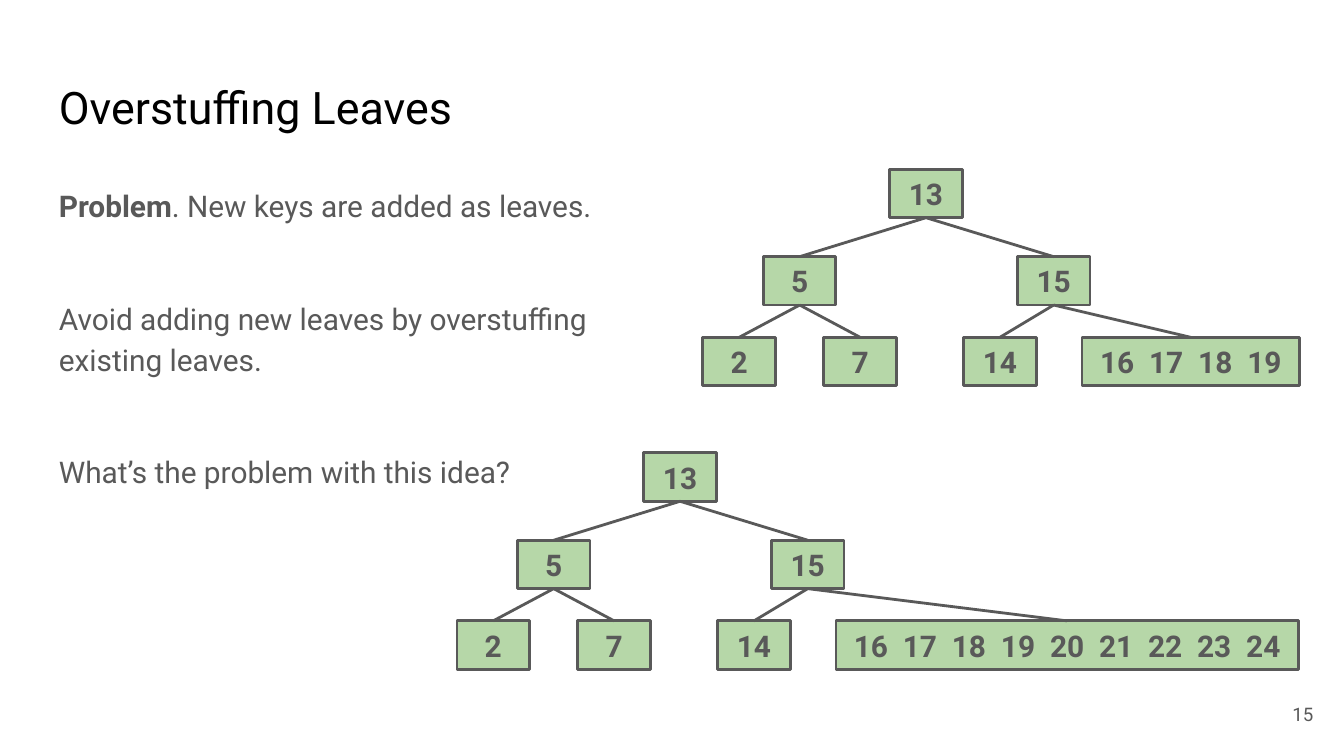
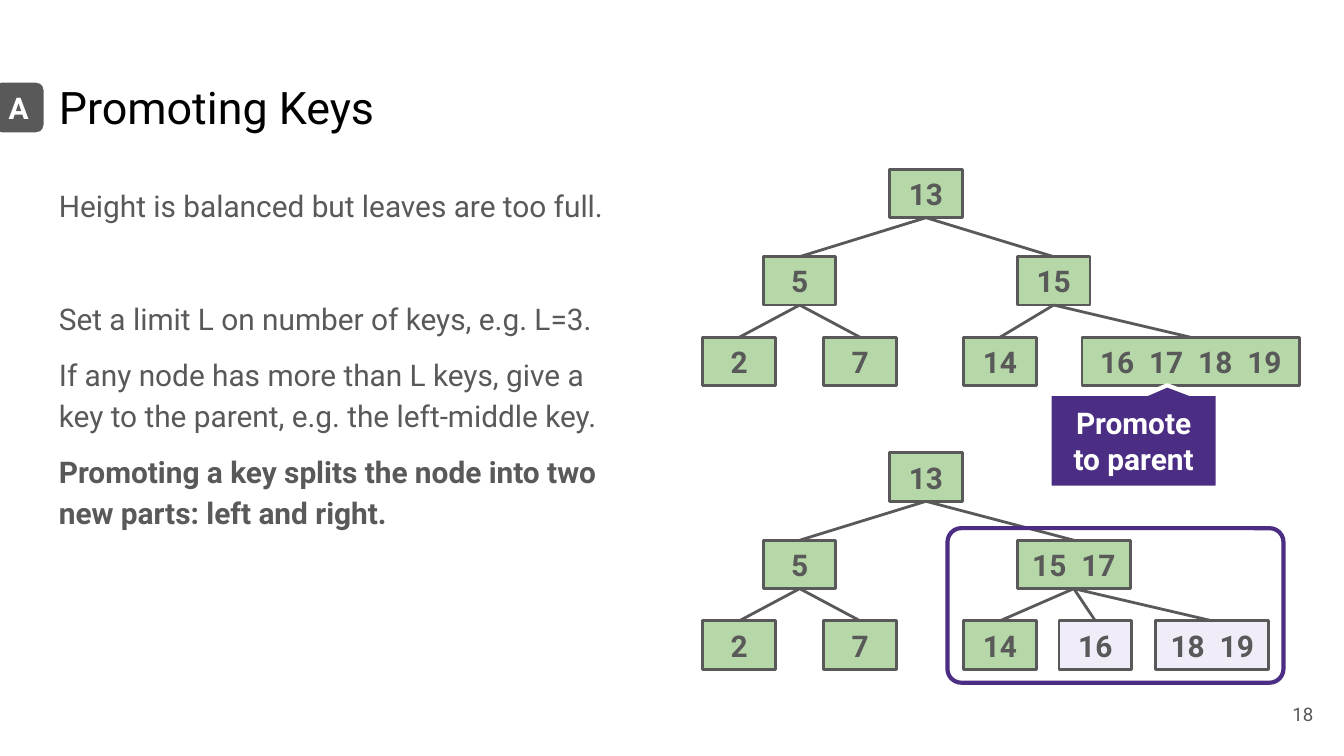
from dataclasses import dataclass
from typing import Any

from lxml import etree
from pptx import Presentation
from pptx.dml.color import RGBColor
from pptx.enum.shapes import MSO_CONNECTOR, MSO_SHAPE
from pptx.enum.text import MSO_ANCHOR, PP_ALIGN
from pptx.oxml.ns import qn
from pptx.util import Inches, Pt

RECT = MSO_SHAPE.RECTANGLE
ROUND = MSO_SHAPE.ROUNDED_RECTANGLE
CALLOUT = MSO_SHAPE.ROUNDED_RECTANGULAR_CALLOUT
STRAIGHT = MSO_CONNECTOR.STRAIGHT
TOP, MIDDLE = MSO_ANCHOR.TOP, MSO_ANCHOR.MIDDLE
LEFT, CENTER, RIGHT = PP_ALIGN.LEFT, PP_ALIGN.CENTER, PP_ALIGN.RIGHT

FONT = "Roboto"
COLORS = {
    "title": "000000",
    "gray": "595959",
    "green": "B6D7A8",
    "pale": "F0ECF8",
    "purple": "4B2E83",
    "white": "FFFFFF",
}
WIDTH = 10
HEIGHT = WIDTH * 9 / 16
BODY, THIN, THICK = 16, 1.5, 2.25
NEAR, FAR = 8, 38  # space before a paragraph, in points
NODE_W, NODE_H = 0.54, 0.36
LEVELS = (0, 0.65, 1.25)  # top of each tree level below the root
KEY_GAP = 4  # points added to the space between two keys


@dataclass(frozen=True)
class Box:
    left: float
    top: float
    width: float
    height: float

    def lengths(self) -> list[Inches]:
        return [Inches(n) for n in (self.left, self.top, self.width, self.height)]


@dataclass(frozen=True)
class Run:
    text: str
    bold: bool = False
    spread: int = 0  # extra letter spacing, in points


@dataclass(frozen=True)
class Para:
    runs: tuple[Run, ...]
    before: int = 0


@dataclass(frozen=True)
class Node:
    """A tree node; left is measured from the left edge of the tree."""
    keys: tuple[int, ...]
    left: float
    kids: tuple["Node", ...] = ()
    width: float = NODE_W
    fill: str = "green"

    @property
    def mid(self) -> float:
        return self.left + self.width / 2

    def label(self) -> Para:
        runs: list[Run] = []
        for key in self.keys:
            if runs:
                runs.append(Run(" ", True, KEY_GAP))
            runs.append(Run(str(key), True))
        return Para(tuple(runs))


@dataclass(frozen=True)
class Tree:
    left: float
    top: float
    root: Node


@dataclass(frozen=True)
class Page:
    title: str
    number: int
    paras: tuple[Para, ...]
    trees: tuple[Tree, ...]


def color(name: str) -> RGBColor:
    return RGBColor.from_string(COLORS[name])


def write(shape: Any, paras: tuple[Para, ...], size: int, ink: str, align: PP_ALIGN,
          anchor: MSO_ANCHOR, wrap: bool = True, lead: float = 1.0) -> None:
    frame = shape.text_frame
    frame.word_wrap = wrap
    frame.vertical_anchor = anchor
    frame.margin_left = frame.margin_right = Inches(0.1)
    frame.margin_top = frame.margin_bottom = Inches(0.1)
    for i, para in enumerate(paras):
        line = frame.add_paragraph() if i else frame.paragraphs[0]
        line.alignment = align
        line.line_spacing = lead
        line.space_before = Pt(para.before)
        for part in para.runs:
            run = line.add_run()
            run.text = part.text
            run.font.name = FONT
            run.font.size = Pt(size)
            run.font.bold = part.bold
            run.font.color.rgb = color(ink)
            if part.spread:
                run._r.get_or_add_rPr().set("spc", str(part.spread * 100))


def plain(text: str, before: int = 0, bold: bool = False) -> Para:
    return Para((Run(text, bold),), before)


def add_text(shapes: Any, box: Box, paras: tuple[Para, ...], size: int, ink: str,
             align: PP_ALIGN = LEFT, anchor: MSO_ANCHOR = TOP, lead: float = 1.0) -> None:
    write(shapes.add_textbox(*box.lengths()), paras, size, ink, align, anchor, lead=lead)


def add_shape(shapes: Any, kind: MSO_SHAPE, box: Box, fill: str | None, edge: str,
              weight: float, adjust: tuple[float, ...] = ()) -> Any:
    shape = shapes.add_shape(kind, *box.lengths())
    shape.shadow.inherit = False
    if fill:
        shape.fill.solid()
        shape.fill.fore_color.rgb = color(fill)
    else:
        shape.fill.background()
    shape.line.color.rgb = color(edge)
    shape.line.width = Pt(weight)
    for i, value in enumerate(adjust):
        shape.adjustments[i] = value
    return shape


def add_label(shape: Any, para: Para, ink: str, wrap: bool = True) -> None:
    write(shape, (para,), BODY, ink, CENTER, MIDDLE, wrap)


def add_edge(shapes: Any, x1: float, y1: float, x2: float, y2: float) -> None:
    edge = shapes.add_connector(STRAIGHT, *(Inches(n) for n in (x1, y1, x2, y2)))
    edge.line.color.rgb = color("gray")
    edge.line.width = Pt(THIN)
    etree.SubElement(edge._element.spPr, qn("a:effectLst"))


def add_node(shapes: Any, tree: Tree, node: Node, level: int = 0) -> None:
    """Draw a node, its edges and everything below it."""
    top = tree.top + LEVELS[level]
    box = Box(tree.left + node.left, top, node.width, NODE_H)
    shape = add_shape(shapes, RECT, box, node.fill, "gray", THIN)
    add_label(shape, node.label(), "gray", False)
    for kid in node.kids:
        add_node(shapes, tree, kid, level + 1)
        add_edge(shapes, tree.left + node.mid, top + NODE_H,
                 tree.left + kid.mid, tree.top + LEVELS[level + 1])


def root_of(right: Node) -> Node:
    """Join the left half, the same in every tree, to the given right half."""
    five = Node((5,), 0.45, (Node((2,), 0), Node((7,), 0.9)))
    return Node((13,), 1.39, (five, right))


def stuffed(last: int, width: float) -> Node:
    """Tree whose last leaf holds every key from 16 to last."""
    leaf = Node(tuple(range(16, last + 1)), 2.82, width=width)
    return root_of(Node((15,), 2.34, (Node((14,), 1.94), leaf)))


def split() -> Node:
    """Tree after 17 has moved up to the parent."""
    kids = (
        Node((14,), 1.94),
        Node((16,), 2.65, fill="pale"),
        Node((18, 19), 3.37, width=0.84, fill="pale"),
    )
    return root_of(Node((15, 17), 2.34, kids, 0.84))


def add_page(deck: Any, page: Page) -> Any:
    shapes = deck.slides.add_slide(deck.slide_layouts[6]).shapes
    add_text(shapes, Box(0.34, 0.49, 4.32, 0.63), (plain(page.title),), 24, "title")
    add_text(shapes, Box(0.34, 1.26, 4.32, 3.74), page.paras, BODY, "gray", lead=1.15)
    add_text(shapes, Box(9.27, 5.1, 0.6, 0.43), (plain(str(page.number)),), 10, "gray",
             RIGHT, MIDDLE)
    for tree in page.trees:
        add_node(shapes.add_group_shape().shapes, tree, tree.root)
    return shapes


def add_marks(shapes: Any) -> None:
    """Add the badge, the callout and the frame around the split node."""
    badge = add_shape(shapes, ROUND, Box(-0.06, 0.6, 0.4, 0.4), "gray", "white", THICK,
                      (0.17,))
    add_label(badge, plain("A", bold=True), "white")
    note = add_shape(shapes, CALLOUT, Box(7.81, 2.93, 1.25, 0.7), "purple", "white", THICK,
                     (0.2, -0.59, 0))
    add_label(note, plain("Promote to parent", bold=True), "white")
    add_shape(shapes, ROUND, Box(7.05, 3.93, 2.5, 1.15), None, "purple", THICK, (0.09,))


UPPER = Tree(5.23, 1.26, stuffed(19, 1.62))
STUFF = Page(
    "Overstuffing Leaves", 15,
    (
        Para((Run("Problem", True), Run(". New keys are added as leaves."))),
        plain("Avoid adding new leaves by overstuffing existing leaves.", FAR),
        plain("What’s the problem with this idea?", FAR),
    ),
    (UPPER, Tree(3.4, 3.37, stuffed(24, 3.44))),
)
PROMOTE = Page(
    "Promoting Keys", 18,
    (
        plain("Height is balanced but leaves are too full."),
        plain("Set a limit L on number of keys, e.g. L=3.", FAR),
        plain("If any node has more than L keys, give a key to the parent, "
              "e.g. the left-middle key.", NEAR),
        plain("Promoting a key splits the node into two new parts: left and right.",
              NEAR, True),
    ),
    (UPPER, Tree(5.23, 3.37, split())),
)


def main() -> None:
    deck = Presentation()
    deck.slide_width, deck.slide_height = Inches(WIDTH), Inches(HEIGHT)
    add_page(deck, STUFF)
    add_marks(add_page(deck, PROMOTE))
    deck.save("out.pptx")


if __name__ == "__main__":
    main()
